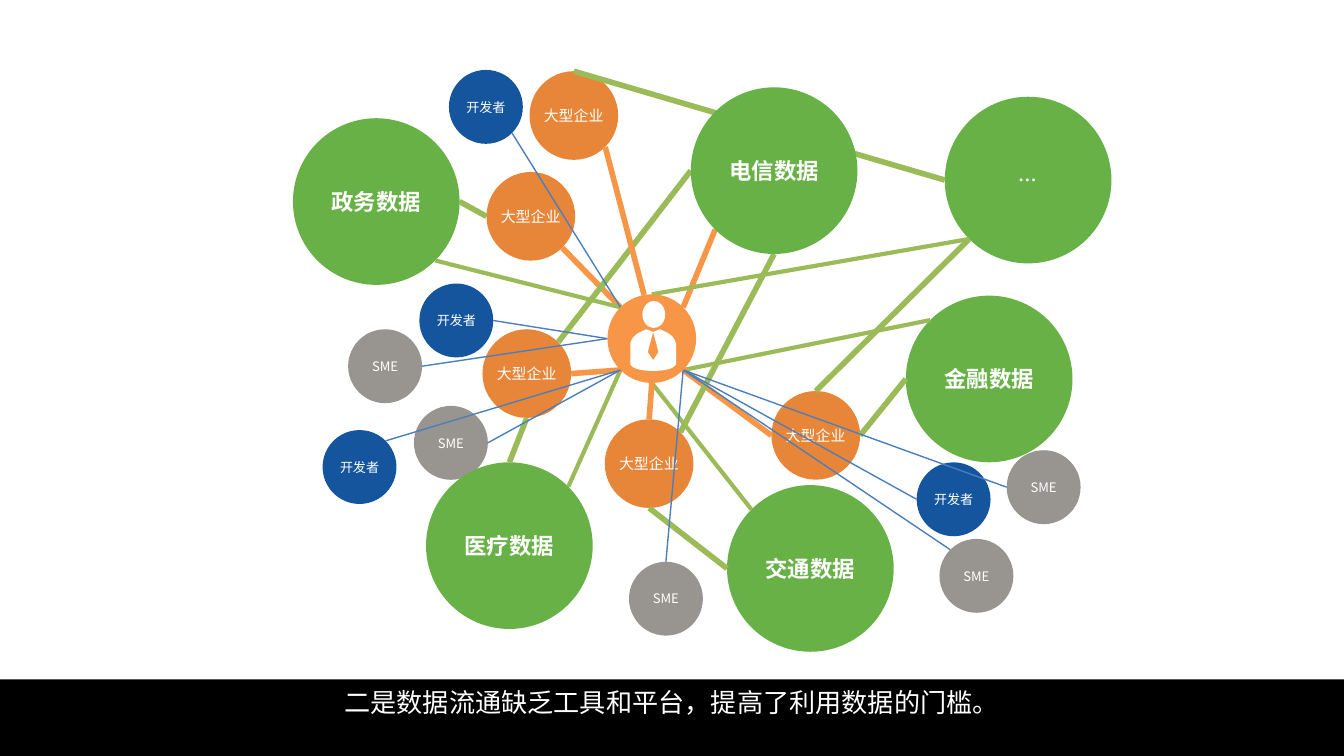
"""Build the slide that maps data holders, companies and developers around one user."""
from dataclasses import dataclass
from enum import IntEnum
from math import cos, radians, sin
from typing import Any

from lxml.etree import SubElement
from pptx import Presentation
from pptx.dml.color import RGBColor
from pptx.enum.shapes import MSO_CONNECTOR, MSO_SHAPE
from pptx.enum.text import MSO_ANCHOR, PP_ALIGN
from pptx.oxml.ns import qn
from pptx.util import Inches, Pt

FONT = "Noto Sans CJK SC"
WHITE, BLACK, ORANGE = "FFFFFF", "000000", "F79646"
Point = tuple[float, float]


class Site(IntEnum):
    R = 0
    BR = 45
    B = 90
    BL = 135
    L = 180
    TL = 225
    NEAR_TOP = 260
    T = 270
    TR = 315


@dataclass(frozen=True)
class Role:
    fill: str
    diameter: float
    size: float = 8
    bold: bool = False


@dataclass(frozen=True)
class Node:
    role: Role
    label: str
    left: float
    top: float

    def at(self, site: Site) -> Point:
        radius, angle = self.role.diameter / 2, radians(site)
        return (self.left + radius * (1 + cos(angle)),
                self.top + radius * (1 + sin(angle)))


@dataclass(frozen=True)
class Flow:
    colour: str
    width: float


@dataclass(frozen=True)
class Link:
    start: str
    start_site: Site
    end: str
    end_site: Site
    flow: Flow


SME = Role("98948F", 0.55, 7)
DEVELOPER = Role("15559D", 0.55, 7)
SOURCE = Role("68B147", 1.24, 12, True)
OTHER_SOURCE = Role("68B147", 1.24, 10, True)
COMPANY = Role("E78638", 0.66, 8)
USER = Role(ORANGE, 0.66)

NODES = {
    "sme_west": Node(SME, "SME", 2.59, 2.45),
    "dev_southwest": Node(DEVELOPER, "开发者", 2.4, 3.2),
    "sme_east": Node(SME, "SME", 7.49, 3.35),
    "sme_south": Node(SME, "SME", 4.68, 4.18),
    "dev_north": Node(DEVELOPER, "开发者", 3.34, 0.52),
    "dev_east": Node(DEVELOPER, "开发者", 6.82, 3.44),
    "sme_southwest": Node(SME, "SME", 3.08, 3.02),
    "dev_west": Node(DEVELOPER, "开发者", 3.12, 2.11),
    "sme_southeast": Node(SME, "SME", 6.99, 4.01),
    "medical": Node(SOURCE, "医疗数据", 3.17, 3.44),
    "government": Node(SOURCE, "政务数据", 2.18, 0.88),
    "traffic": Node(SOURCE, "交通数据", 5.41, 3.61),
    "finance": Node(SOURCE, "金融数据", 6.74, 2.2),
    "other": Node(OTHER_SOURCE, "…", 7.03, 0.72),
    "co_northwest": Node(COMPANY, "大型企业", 3.62, 1.28),
    "co_west": Node(COMPANY, "大型企业", 3.59, 2.45),
    "co_south": Node(COMPANY, "大型企业", 4.5, 3.12),
    "co_north": Node(COMPANY, "大型企业", 3.94, 0.53),
    "co_east": Node(COMPANY, "大型企业", 5.74, 2.91),
    "user": Node(USER, "", 4.52, 2.19),
    "telecom": Node(SOURCE, "电信数据", 5.14, 0.65),
}
FRONT = ("user", "telecom")

DIRECT = Flow("9BBB59", 2.25)
SUPPLY = Flow("9BBB59", 3)
SERVICE = Flow(ORANGE, 3)
THIN = Flow("4B7EBC", 0.75)

LINKS = [
    Link("user", Site.BL, "medical", Site.TR, DIRECT),
    Link("user", Site.BL, "co_west", Site.R, SERVICE),
    Link("medical", Site.T, "co_west", Site.B, SUPPLY),
    Link("co_northwest", Site.BR, "user", Site.TL, SERVICE),
    Link("user", Site.TL, "government", Site.BR, DIRECT),
    Link("government", Site.R, "co_northwest", Site.L, SUPPLY),
    Link("user", Site.B, "traffic", Site.TL, DIRECT),
    Link("user", Site.B, "co_south", Site.T, SERVICE),
    Link("co_south", Site.B, "traffic", Site.L, SUPPLY),
    Link("user", Site.BR, "finance", Site.TL, DIRECT),
    Link("user", Site.BR, "co_east", Site.L, SERVICE),
    Link("finance", Site.L, "co_east", Site.R, SUPPLY),
    Link("telecom", Site.BL, "user", Site.TR, SERVICE),
    Link("co_south", Site.TR, "telecom", Site.B, SUPPLY),
    Link("other", Site.BL, "co_east", Site.T, SUPPLY),
    Link("telecom", Site.L, "co_west", Site.TR, SUPPLY),
    Link("dev_north", Site.BR, "user", Site.TL, THIN),
    Link("dev_west", Site.R, "user", Site.L, THIN),
    Link("sme_west", Site.R, "user", Site.L, THIN),
    Link("dev_southwest", Site.TR, "user", Site.BL, THIN),
    Link("sme_southwest", Site.R, "user", Site.BL, THIN),
    Link("sme_south", Site.T, "user", Site.BR, THIN),
    Link("dev_east", Site.L, "user", Site.BR, THIN),
    Link("sme_east", Site.L, "user", Site.BR, THIN),
    Link("co_north", Site.BR, "user", Site.NEAR_TOP, SERVICE),
    Link("user", Site.T, "other", Site.BL, DIRECT),
    Link("other", Site.L, "co_north", Site.T, SUPPLY),
    Link("sme_southeast", Site.TL, "user", Site.BR, THIN),
]


def rgb(colour: str) -> RGBColor:
    return RGBColor.from_string(colour)


def paint(shape: Any, fill: str) -> None:
    shape.shadow.inherit = False
    shape.fill.solid()
    shape.fill.fore_color.rgb = rgb(fill)
    shape.line.fill.background()


def write(shape: Any, text: str, size: float, bold: bool, frame_format: dict[str, Any]) -> None:
    frame = shape.text_frame
    for attribute, value in frame_format.items():
        setattr(frame, attribute, value)
    paragraph = frame.paragraphs[0]
    paragraph.alignment = PP_ALIGN.CENTER
    run = paragraph.add_run()
    run.text = text
    for attribute, value in {"name": FONT, "size": Pt(size), "bold": bold}.items():
        setattr(run.font, attribute, value)
    run.font.color.rgb = rgb(WHITE)
    SubElement(run.font._element, qn("a:ea"), typeface=FONT)


def draw_node(shapes: Any, node: Node) -> None:
    side = Inches(node.role.diameter)
    circle = shapes.add_shape(MSO_SHAPE.OVAL, Inches(node.left), Inches(node.top), side, side)
    paint(circle, node.role.fill)
    if node.label:
        write(circle, node.label, node.role.size, node.role.bold,
              {"margin_left": 0, "margin_right": 0, "word_wrap": True,
               "vertical_anchor": MSO_ANCHOR.MIDDLE})


def draw_link(shapes: Any, link: Link) -> None:
    ends = NODES[link.start].at(link.start_site) + NODES[link.end].at(link.end_site)
    line = shapes.add_connector(MSO_CONNECTOR.STRAIGHT, *map(Inches, ends))
    line.line.color.rgb = rgb(link.flow.colour)
    line.line.width = Pt(link.flow.width)
    SubElement(line._element.spPr, qn("a:effectLst"))


def curve(a: Point, b: Point, c: Point, d: Point, steps: int = 10) -> list[Point]:
    def blend(t: float, axis: int) -> float:
        u = 1 - t
        return (u**3 * a[axis] + 3 * u * u * t * b[axis]
                + 3 * u * t * t * c[axis] + t**3 * d[axis])
    return [(blend(i / steps, 0), blend(i / steps, 1)) for i in range(steps + 1)]


def draw_user(shapes: Any) -> None:
    draw_node(shapes, NODES["user"])
    axis = 4.86
    half = [(axis, 2.68), (4.82, 2.62), (axis, 2.47),
            *curve((4.81, 2.45), (4.76, 2.47), (4.69, 2.5), (4.69, 2.57)),
            *curve((4.69, 2.71), (4.69, 2.71), (4.7, 2.76), (axis, 2.76))]
    outline = half + [(2 * axis - x, y) for x, y in reversed(half)]
    corners = [(Inches(x), Inches(y)) for x, y in outline]
    builder = shapes.build_freeform(*corners[0])
    builder.add_line_segments(corners[1:], close=True)
    paint(builder.convert_to_shape(), WHITE)
    head = shapes.add_shape(MSO_SHAPE.OVAL, Inches(4.78), Inches(2.24), Inches(0.17), Inches(0.2))
    paint(head, WHITE)


def main() -> None:
    deck = Presentation()
    width, caption_height = Inches(10), Inches(0.57)
    height = width * 9 // 16
    deck.slide_width, deck.slide_height = width, height
    shapes = deck.slides.add_slide(deck.slide_layouts[6]).shapes
    for key, node in NODES.items():
        if key not in FRONT:
            draw_node(shapes, node)
    network = shapes.add_group_shape().shapes
    for link in LINKS:
        draw_link(network, link)
    draw_user(shapes.add_group_shape().shapes)
    draw_node(shapes, NODES["telecom"])
    caption = shapes.add_shape(MSO_SHAPE.RECTANGLE, 0, height - caption_height,
                               width, caption_height)
    paint(caption, BLACK)
    write(caption, "二是数据流通缺乏工具和平台，提高了利用数据的门槛。", 14, False,
          {"vertical_anchor": MSO_ANCHOR.TOP, "word_wrap": True})
    deck.save("out.pptx")


if __name__ == "__main__":
    main()
